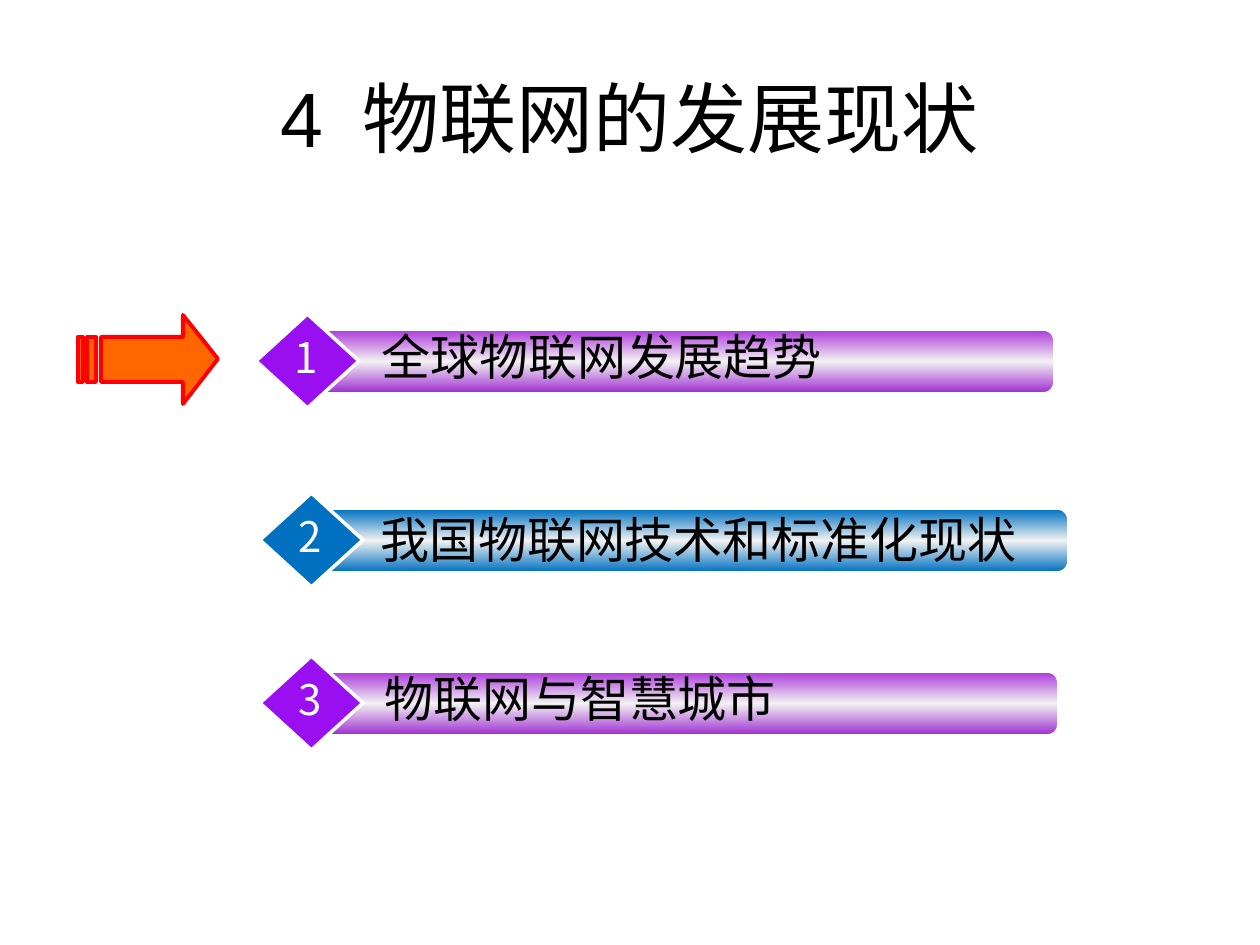
"""Build the agenda slide on the state of the Internet of Things."""
from copy import deepcopy
from dataclasses import dataclass

from lxml import etree
from pptx import Presentation
from pptx.dml.color import RGBColor
from pptx.enum.shapes import MSO_SHAPE
from pptx.enum.text import MSO_ANCHOR, PP_ALIGN
from pptx.oxml.ns import qn
from pptx.util import Pt

EMU_PER_PX = 914400 / 126
ROUND_RECT = MSO_SHAPE.ROUNDED_RECTANGLE
DIAMOND = MSO_SHAPE.DIAMOND
MIDDLE = MSO_ANCHOR.MIDDLE
TOP = MSO_ANCHOR.TOP
CENTER = PP_ALIGN.CENTER
LEFT = PP_ALIGN.LEFT


@dataclass(frozen=True)
class Theme:
    latin: str = "Arial"
    cjk: str = "Noto Sans CJK SC"
    title_pt: int = 44
    label_pt: int = 28
    number_pt: int = 24
    ink: str = "000000"
    white: str = "FFFFFF"
    arrow: str = "FF6600"
    arrow_edge: str = "FF0000"


@dataclass(frozen=True)
class Palette:
    diamond: str
    bar: tuple[str, str, str]


@dataclass(frozen=True)
class Box:
    left: int
    top: int
    width: int
    height: int

    def emu(self) -> list[int]:
        return [px(n) for n in (self.left, self.top, self.width, self.height)]


@dataclass(frozen=True)
class Topic:
    number: str
    title: str
    left: int
    top: int
    bar_width: int
    label: Box
    palette: Palette


THEME = Theme()
PURPLE = Palette("9A0FEF", ("AD39DB", "F2F2F2", "9F2ED2"))
BLUE = Palette("0070C0", ("0070C0", "F2F2F2", "0070C0"))
TOPICS = (
    Topic("1", "全球物联网发展趋势", 256, 314, 740, Box(369, 320, 601, 72), PURPLE),
    Topic("2", "我国物联网技术和标准化现状", 260, 493, 750, Box(368, 503, 669, 115), BLUE),
    Topic("3", "物联网与智慧城市", 260, 656, 740, Box(372, 662, 601, 72), PURPLE),
)
ARROW_HEAD = ((183, 315), (183, 337), (101, 337), (101, 382), (183, 382), (183, 404), (218, 359))
ARROW_STRIPES = ((87, 96), (78, 83))


def px(length: int) -> int:
    return round(length * EMU_PER_PX)


def rgb(value: str) -> RGBColor:
    return RGBColor.from_string(value)


def outline(shape, color: str, points: float) -> None:
    shape.shadow.inherit = False
    shape.line.color.rgb = rgb(color)
    shape.line.width = Pt(points)


def add_run(paragraph, text: str, font: str, size: int, color: str, spacing: int = 0) -> None:
    run = paragraph.add_run()
    run.text = text
    run.font.name = font
    run.font.size = Pt(size)
    run.font.color.rgb = rgb(color)
    properties = run._r.get_or_add_rPr()
    etree.SubElement(properties, qn("a:ea")).set("typeface", THEME.cjk)
    if spacing:
        properties.set("spc", str(spacing))


def add_text(shapes, box: Box, align=LEFT, anchor=TOP, wrap: bool = True):
    frame = shapes.add_textbox(*box.emu()).text_frame
    frame.word_wrap = wrap
    frame.vertical_anchor = anchor
    paragraph = frame.paragraphs[0]
    paragraph.alignment = align
    return paragraph


def fill_gradient(shape, colors: tuple[str, str, str]) -> None:
    shape.fill.gradient()
    shape.fill.gradient_angle = 270
    first = shape._element.spPr.find(".//" + qn("a:gs"))
    middle = deepcopy(first)
    middle.set("pos", "50000")
    first.addnext(middle)
    for stop, color in zip(shape.fill.gradient_stops, colors):
        stop.color.rgb = rgb(color)


def add_arrow(shapes) -> None:
    builder = shapes.build_freeform(*ARROW_HEAD[0], scale=EMU_PER_PX)
    builder.add_line_segments(ARROW_HEAD[1:], close=True)
    top, bottom = ARROW_HEAD[2][1], ARROW_HEAD[3][1]
    for left, right in ARROW_STRIPES:
        builder.move_to(left, top)
        builder.add_line_segments(((left, bottom), (right, bottom), (right, top)), close=True)
    arrow = builder.convert_to_shape()
    arrow.fill.solid()
    arrow.fill.fore_color.rgb = rgb(THEME.arrow)
    outline(arrow, THEME.arrow_edge, 2.25)


def add_topic(slide_shapes, topic: Topic) -> None:
    shapes = slide_shapes.add_group_shape().shapes
    bar = shapes.add_shape(ROUND_RECT, *Box(topic.left + 58, topic.top + 16, topic.bar_width, 63).emu())
    fill_gradient(bar, topic.palette.bar)
    outline(bar, THEME.white, 1)
    diamond = shapes.add_shape(DIAMOND, *Box(topic.left, topic.top, 103, 94).emu())
    diamond.fill.solid()
    diamond.fill.fore_color.rgb = rgb(topic.palette.diamond)
    outline(diamond, THEME.white, 2)
    label = add_text(shapes, topic.label)
    add_run(label, topic.title, THEME.latin, THEME.label_pt, THEME.ink)
    number = add_text(shapes, Box(topic.left + 26, topic.top + 11, 47, 64), wrap=False)
    add_run(number, topic.number, THEME.cjk, THEME.number_pt, THEME.white)


def main() -> None:
    deck = Presentation()
    deck.slide_width, deck.slide_height = px(1260), px(945)
    shapes = deck.slides.add_slide(deck.slide_layouts[6]).shapes
    heading = add_text(shapes, Box(63, 38, 1134, 157), CENTER, MIDDLE)
    add_run(heading, "4 ", THEME.latin, THEME.title_pt, THEME.ink, spacing=500)
    add_run(heading, "物联网的发展现状", THEME.latin, THEME.title_pt, THEME.ink)
    add_arrow(shapes)
    for topic in TOPICS:
        add_topic(shapes, topic)
    deck.save("out.pptx")


if __name__ == "__main__":
    main()
